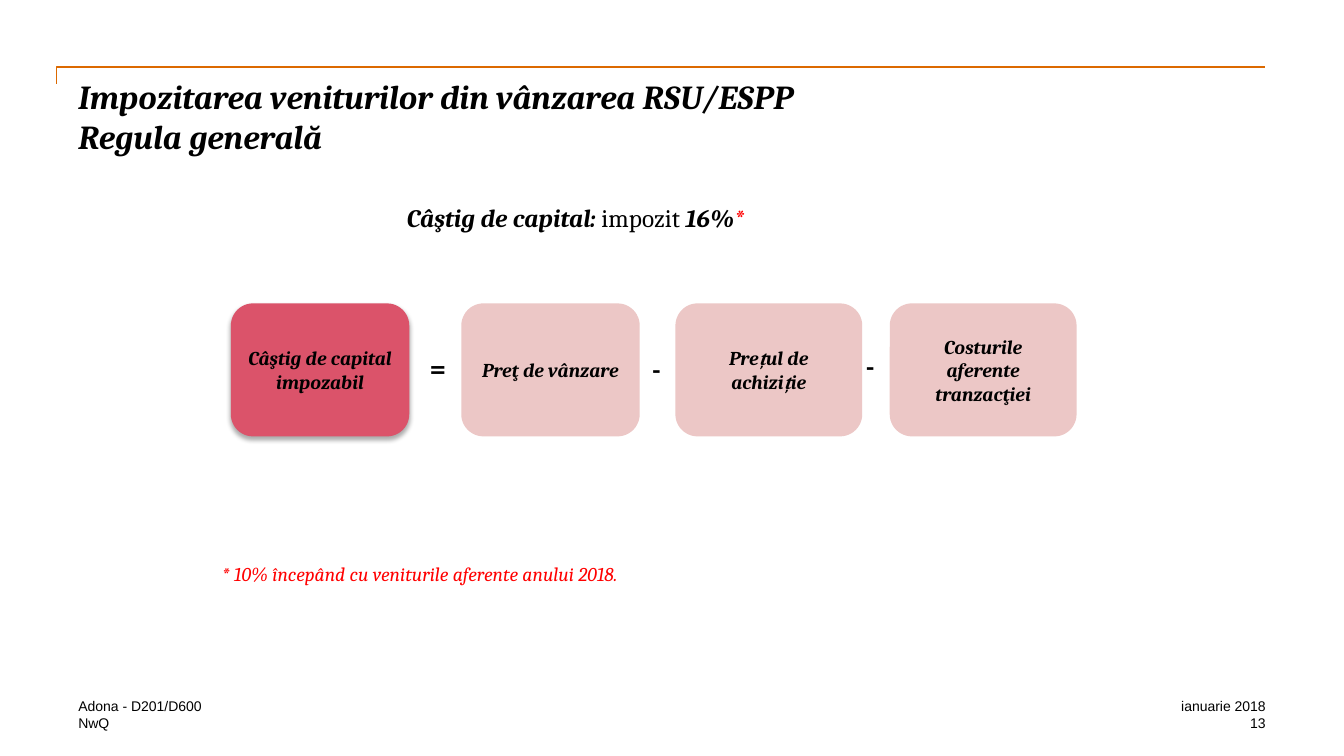
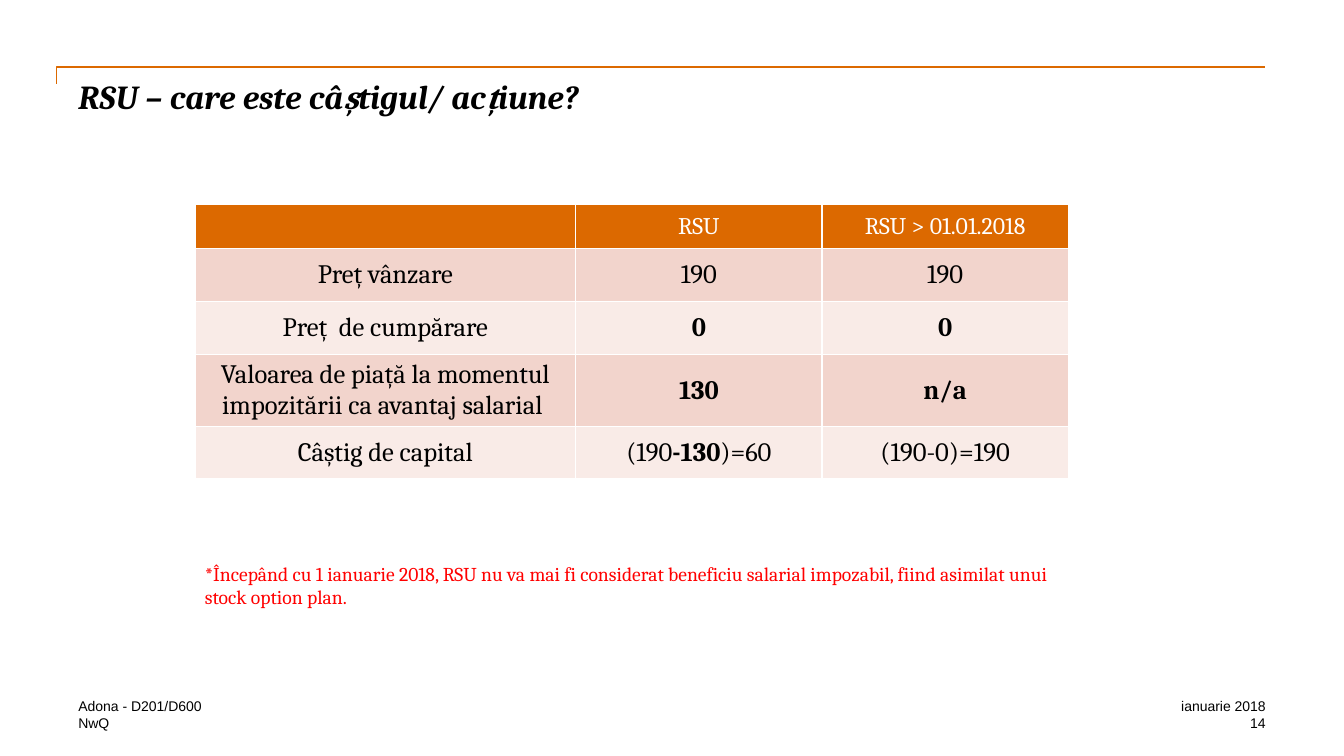
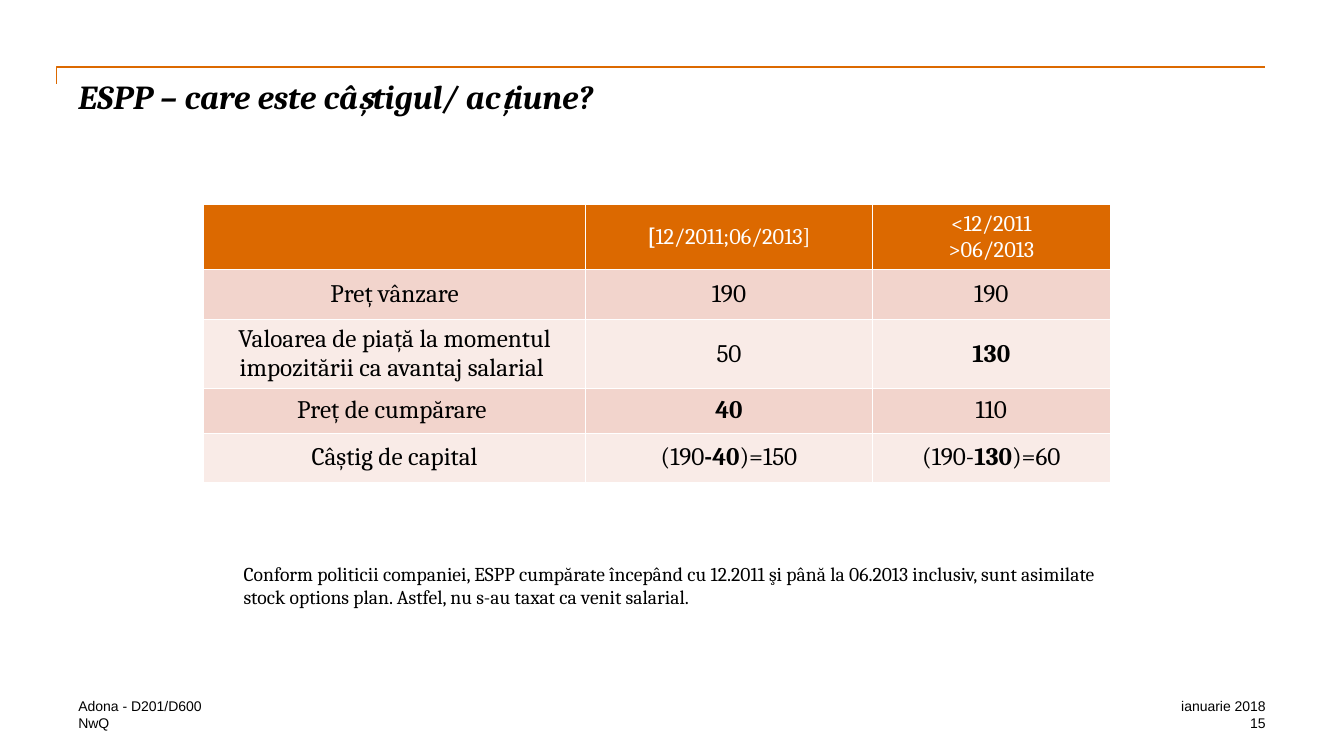
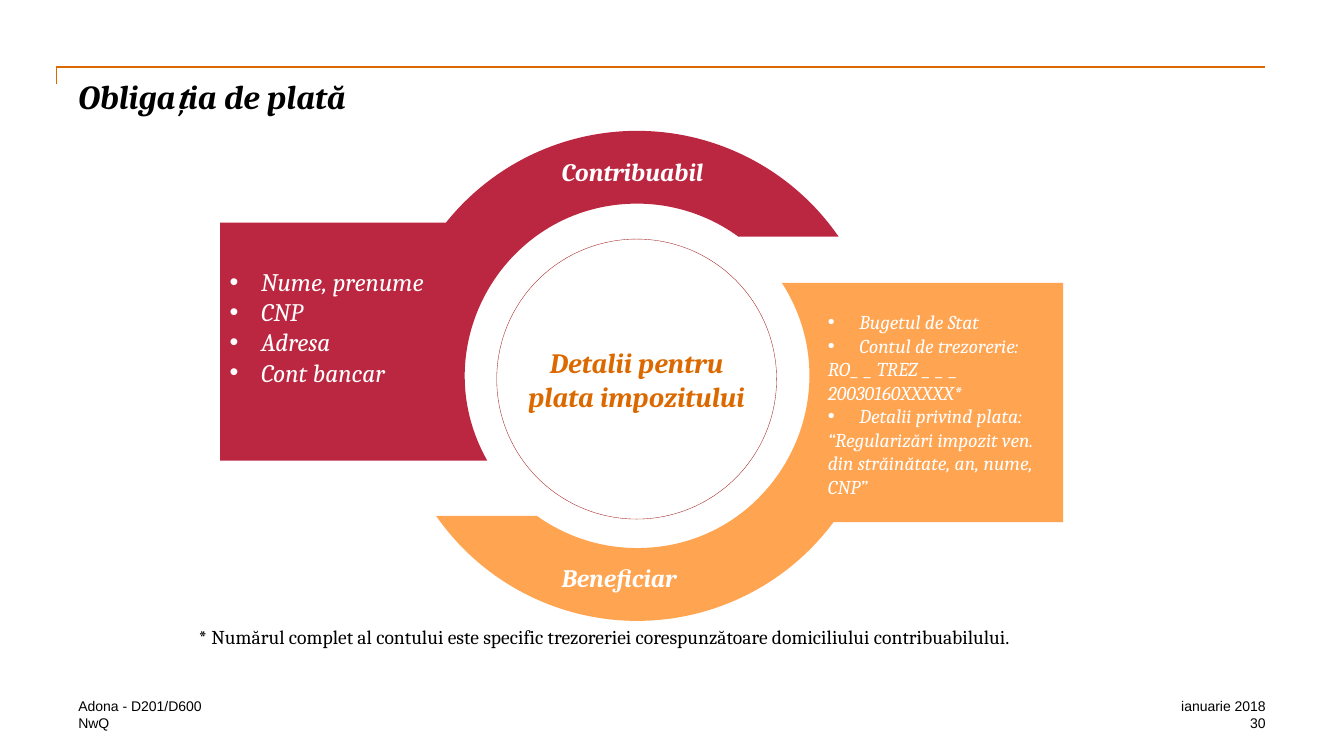
"""Build four slides on the tax due on gains from RSU and ESPP shares."""
import math
from dataclasses import dataclass, replace
from typing import List, NamedTuple, Optional, Sequence, Tuple, Union

from lxml import etree
from pptx import Presentation
from pptx import slide as sl
from pptx import util as u
from pptx.dml import color as col
from pptx.dml import fill as fl
from pptx.enum import shapes, text
from pptx.oxml import ns
from pptx.shapes import autoshape as auto
from pptx.text import text as tx

HUES = {
    "ink": "000000", "white": "FFFFFF", "red": "FF0000", "orange": "DC6900",
    "rose": "DB536A", "blush": "ECC7C6", "dark": "F2D4CC", "light": "F9EBE7",
    "wine": "BB2740", "amber": "FFA451", "ring": "A32020",
}
LEFT, MID, RIGHT = text.PP_ALIGN.LEFT, text.PP_ALIGN.CENTER, text.PP_ALIGN.RIGHT
TOP, CORE = text.MSO_ANCHOR.TOP, text.MSO_ANCHOR.MIDDLE


@dataclass(frozen=True)
class Style:
    size: float
    hue: str = "ink"
    bold: bool = False
    ital: bool = False
    font: str = "Cambria"


class Box(NamedTuple):
    x: float
    y: float
    w: float
    h: float


class Bit(NamedTuple):
    text: str
    style: Style


class Term(NamedTuple):
    text: str
    x: float
    w: float
    hue: str


class Grid(NamedTuple):
    x: float
    cols: Tuple[float, ...]
    rows: Tuple[float, ...]
    head: Style
    body: Style
    cells: Tuple[Tuple[str, ...], ...]


class Band(NamedTuple):
    hue: str
    side: int
    edge: float
    start: float
    tip: float
    end: float


Line = Union[str, Sequence[Bit]]
Spot = Tuple[float, float]
TITLE = Style(24, bold=True, ital=True)
FOOT = Style(10, font="Arial")
NOTE = Style(14)
LEAD = Style(18, bold=True, ital=True)
TERM = Style(14, bold=True, ital=True)
SIGN = Style(20, bold=True)

TERMS = (
    Term("Câştig de capital impozabil", 165, 127.5, "rose"),
    Term("Preţ de vânzare", 329.7, 127.5, "blush"),
    Term("Prețul de achiziție", 482.7, 133.5, "blush"),
    Term("Costurile aferente tranzacţiei", 635.9, 133.5, "blush"),
)
SIGNS = (("=", 307, 250.5), ("-", 466, 251), ("-", 618.8, 249))

RSU = Grid(
    139.3, (272.2, 176, 176), (31, 38, 38, 46, 37),
    Style(17, "white"), Style(19),
    (
        ("", "RSU", "RSU > 01.01.2018"),
        ("Preț vânzare", "190", "190"),
        ("Preț  de cumpărare", "|0", "|0"),
        ("Valoarea de piață la momentul impozitării ca avantaj salarial ",
         "|130", "|n/a"),
        ("Câștig de capital", "(190|-130|)=60", "(190-0)=190"),
    ),
)
ESPP = Grid(
    145.5, (273, 205, 170), (46, 36, 36, 32, 35),
    Style(16, "white"), Style(18),
    (
        ("", "|[|12/2011;06/2013]", "<12/2011\n>06/2013"),
        ("Preț vânzare", "190", "190"),
        ("Valoarea de piață la momentul impozitării ca avantaj salarial ",
         "50", "|130"),
        ("Preț de cumpărare ", "|40", "110"),
        ("Câștig de capital", "(190|-40|)=150", "(190-|130|)=60"),
    ),
)
HUB = (455.3, 268.5)
OUTER, INNER = 175, 123
BANDS = (
    Band("amber", -1, -304.5, -104.5, -100, 66.5),
    Band("wine", 1, -298, -109.5, -99.5, 60.5),
)


def tint(hue: str) -> col.RGBColor:
    return col.RGBColor.from_string(HUES[hue])


def paint(fill: fl.FillFormat, hue: str) -> None:
    fill.solid()
    fill.fore_color.rgb = tint(hue)


def dress(run: tx._Run, style: Style) -> None:
    font = run.font
    font.name, font.size = style.font, u.Pt(style.size)
    font.bold, font.italic = style.bold, style.ital
    font.color.rgb = tint(style.hue)


def dot(para: tx._Paragraph) -> None:
    props = para._p.get_or_add_pPr()
    props.set("marL", str(u.Pt(22.5)))
    props.set("indent", str(-u.Pt(22.5)))
    etree.SubElement(props, ns.qn("a:buFont")).set("typeface", "Arial")
    etree.SubElement(props, ns.qn("a:buChar")).set("char", "•")


def write(frame: tx.TextFrame, lines: Sequence[Line], style: Style,
          align: text.PP_ALIGN = LEFT) -> None:
    for i, line in enumerate(lines):
        para = frame.add_paragraph() if i else frame.paragraphs[0]
        para.alignment = align
        if isinstance(line, str):
            para.text = line.lstrip("•")
            for run in para.runs:
                dress(run, style)
            if line.startswith("•"):
                dot(para)
        else:
            for bit in line:
                run = para.add_run()
                run.text = bit.text
                dress(run, bit.style)


def split(line: str, style: Style) -> List[Bit]:
    parts = enumerate(line.split("|"))
    return [Bit(part, replace(style, bold=i % 2 == 1)) for i, part in parts if part]


def frame_up(frame: tx.TextFrame, pad: bool, wrap: bool,
             anchor: text.MSO_ANCHOR) -> None:
    frame.word_wrap, frame.vertical_anchor = wrap, anchor
    wide, high = (7.2, 3.6) if pad else (0, 0)
    frame.margin_left = frame.margin_right = u.Pt(wide)
    frame.margin_top = frame.margin_bottom = u.Pt(high)


def label(page: sl.Slide, box: Box, lines: Sequence[Line], style: Style,
          align: text.PP_ALIGN = LEFT, pad: bool = True, wrap: bool = True) -> None:
    frame = page.shapes.add_textbox(*map(u.Pt, box)).text_frame
    frame_up(frame, pad, wrap, TOP)
    write(frame, lines, style, align)


def finish(shape: auto.Shape, hue: str, edge: Optional[str] = None) -> None:
    shape.shadow.inherit = False
    paint(shape.fill, hue)
    if edge:
        shape.line.color.rgb = tint(edge)
        shape.line.width = u.Pt(0.25)
    else:
        shape.line.fill.background()


def block(page: sl.Slide, kind: shapes.MSO_SHAPE, box: Box, hue: str,
          lines: Sequence[Line], style: Style, edge: Optional[str] = None,
          pad: bool = True) -> auto.Shape:
    shape = page.shapes.add_shape(kind, *map(u.Pt, box))
    finish(shape, hue, edge)
    frame_up(shape.text_frame, pad, pad, CORE)
    write(shape.text_frame, lines, style, MID)
    return shape


def shade(shape: auto.Shape) -> None:
    glow = shape._element.spPr.find(ns.qn("a:effectLst"))
    drop = etree.SubElement(glow, ns.qn("a:outerShdw"), blurRad=str(u.Pt(3.5)),
                            dist=str(u.Pt(2.2)), dir="5400000", rotWithShape="0")
    black = etree.SubElement(drop, ns.qn("a:srgbClr"), val=HUES["ink"])
    etree.SubElement(black, ns.qn("a:alpha"), val="32000")


def rule(page: sl.Slide) -> None:
    mid_x, mid_y, long, short = 472.3, 54, 864, 12
    line = page.shapes.add_connector(
        shapes.MSO_CONNECTOR.ELBOW,
        u.Pt(mid_x + short / 2), u.Pt(mid_y + long / 2),
        u.Pt(mid_x - short / 2), u.Pt(mid_y - long / 2))
    line.line.color.rgb = tint("orange")
    line.line.width = u.Pt(1)
    props = line._element.spPr
    props.find(ns.qn("a:xfrm")).set("rot", "5400000")
    props.find(ns.qn("a:prstGeom")).set("prst", "bentConnector2")
    etree.SubElement(props, ns.qn("a:effectLst"))


def start(deck, title: str, page_no: int) -> sl.Slide:
    page = deck.slides.add_slide(deck.slide_layouts[6])
    rule(page)
    label(page, Box(56, 54, 848, 72), [title], TITLE, pad=False)
    for y, left, right in ((498, "Adona - D201/D600", "ianuarie 2018"),
                           (510.4, "NwQ", str(page_no))):
        label(page, Box(56, y, 270, 12), [left], FOOT, pad=False)
        label(page, Box(744.5, y, 160, 12), [right], FOOT, RIGHT, False)
    return page


def table(page: sl.Slide, grid: Grid) -> None:
    box = Box(grid.x, 146.3, sum(grid.cols), sum(grid.rows))
    sheet = page.shapes.add_table(
        len(grid.rows), len(grid.cols), *map(u.Pt, box)).table
    for part, wide in zip(sheet.columns, grid.cols):
        part.width = u.Pt(wide)
    for r, (part, high) in enumerate(zip(sheet.rows, grid.rows)):
        part.height = u.Pt(high)
        style = grid.body if r else grid.head
        hue = ("light", "dark")[r % 2] if r else "orange"
        for cell, words in zip(part.cells, grid.cells[r]):
            paint(cell.fill, hue)
            cell.vertical_anchor = CORE
            cell.margin_top = cell.margin_bottom = u.Pt(3)
            lines = [split(line, style) for line in words.split("\n")]
            write(cell.text_frame, lines, style, MID)


def curve(size: float, first: float, last: float) -> List[Spot]:
    pull = 4 / 3 * math.tan((last - first) / 4)
    a, b = (math.cos(first), math.sin(first)), (math.cos(last), math.sin(last))
    trio = ((a[0] - pull * a[1], a[1] + pull * a[0]),
            (b[0] + pull * b[1], b[1] - pull * b[0]), b)
    return [(size * x, size * y) for x, y in trio]


def arc(size: float, first: float, last: float) -> List[Spot]:
    crest = -math.pi / 2
    return curve(size, first, crest) + curve(size, crest, last)


def bend(shape: auto.Shape, firsts: Sequence[int]) -> None:
    legs = list(shape._element.iter(ns.qn("a:lnTo")))
    for i in firsts:
        legs[i].tag = ns.qn("a:cubicBezTo")
        for leg in legs[i + 1:i + 3]:
            legs[i].append(leg[0])
            leg.getparent().remove(leg)


def band(page: sl.Slide, part: Band) -> None:
    def near(size: float, y: float) -> float:
        return math.asin(y / size)

    def far(size: float, y: float) -> float:
        return -math.pi - near(size, y)

    rim = near(INNER, part.tip)
    dots = [(part.edge, part.start),
            (OUTER * math.cos(far(OUTER, part.start)), part.start)]
    dots += arc(OUTER, far(OUTER, part.start), near(OUTER, part.tip))
    dots += [(INNER * math.cos(rim), part.tip)]
    dots += arc(INNER, rim, far(INNER, part.end))
    dots += [(part.edge, part.end)]
    spots = [(u.Pt(HUB[0] + part.side * x), u.Pt(HUB[1] + part.side * y))
             for x, y in dots]
    form = page.shapes.build_freeform(*spots[0])
    form.add_line_segments(spots[1:])
    shape = form.convert_to_shape()
    bend(shape, (1, 4, 8, 11))
    finish(shape, part.hue)


def gain(deck) -> None:
    page = start(
        deck, "Impozitarea veniturilor din vânzarea RSU/ESPP\vRegula generală", 13)
    for term in TERMS:
        shape = block(page, shapes.MSO_SHAPE.ROUNDED_RECTANGLE,
                      Box(term.x, 216.7, term.w, 95), term.hue, [term.text], TERM)
        if term.hue == "rose":
            shade(shape)
    for sign, x, y in SIGNS:
        label(page, Box(x, y, 13, 25), [sign], SIGN, pad=False, wrap=False)
    label(page, Box(283.7, 141, 321, 29), [(
        Bit("Câştig de capital: ", LEAD), Bit("impozit ", Style(18)),
        Bit("16%", LEAD), Bit("*", replace(LEAD, hue="red")))], LEAD)
    label(page, Box(151.5, 397.5, 626, 24),
          ["* 10% începând cu veniturile aferente anului 2018."],
          Style(14, "red", ital=True))


def stock(deck) -> None:
    page = start(deck, "RSU – care este câștigul/ acțiune?", 14)
    table(page, RSU)
    label(page, Box(139.3, 397.5, 624, 41), [
        "*Începând cu 1 ianuarie 2018, RSU nu va mai fi considerat beneficiu "
        "salarial impozabil, fiind asimilat unui stock option plan."],
        Style(14, "red"))


def plan(deck) -> None:
    page = start(deck, "ESPP – care este câștigul/ acțiune?", 15)
    table(page, ESPP)
    label(page, Box(167, 397.5, 626, 41), [
        "Conform politicii companiei, ESPP cumpărate începând cu 12.2011 şi până "
        "la 06.2013 inclusiv, sunt asimilate stock options plan. Astfel, nu s-au "
        "taxat ca venit salarial."], NOTE)


def pay(deck) -> None:
    page = start(deck, "Obligația de plată", 30)
    for part in BANDS:
        band(page, part)
    block(page, shapes.MSO_SHAPE.OVAL, Box(355, 170.8, 200, 200), "white",
          ["Detalii pentru", "plata impozitului"],
          Style(20, "orange", True, True), "ring", False)
    label(page, Box(157, 186.7, 173.5, 117),
          ["•Nume, prenume", "•CNP", "•Adresa", "•Cont bancar"],
          Style(18, "white", ital=True))
    label(page, Box(584.6, 218, 173.5, 143), [
        "•Bugetul de Stat", "•Contul de trezorerie:",
        "RO_ _ TREZ _ _ _ 20030160XXXXX*", "•Detalii privind plata:",
        "“Regularizări impozit ven. din străinătate, an, nume, CNP”"],
        Style(14, "white", ital=True))
    for y, words in ((108, "Contribuabil"), (398.2, "Beneficiar")):
        label(page, Box(394.3, y, 137, 29), [words],
              replace(LEAD, hue="white"), wrap=False)
    label(page, Box(142, 446.5, 641, 34), [
        "* Numărul complet al contului este specific trezoreriei corespunzătoare "
        "domiciliului contribuabilului."], NOTE, pad=False)


def main() -> None:
    deck = Presentation()
    deck.slide_width, deck.slide_height = u.Pt(960.5), u.Pt(540)
    for build in (gain, stock, plan, pay):
        build(deck)
    deck.save("out.pptx")


if __name__ == "__main__":
    main()
